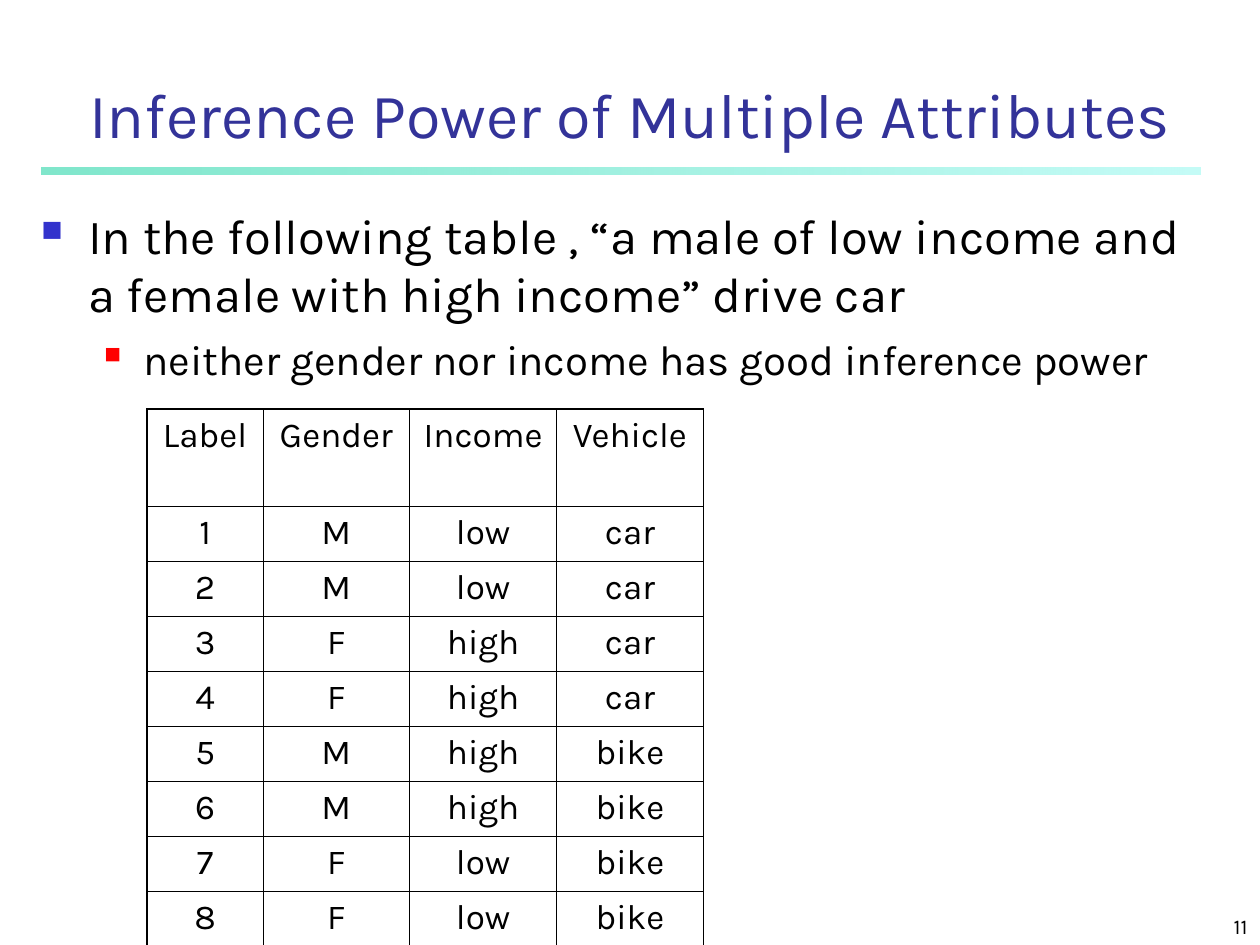
from lxml.etree import SubElement
from pptx import Presentation
from pptx.dml.color import RGBColor
from pptx.enum.shapes import MSO_SHAPE as Shape
from pptx.enum.text import MSO_ANCHOR as Anchor, PP_ALIGN as Align
from pptx.oxml.ns import qn
from pptx.util import Cm, Pt

FONT = "Karla"
BLACK = "000000"
THIN, THICK = 0.45, 1.08

TITLE = "Inference Power of Multiple Attributes"
PAGE_NUMBER = "11"
BULLETS = [
    dict(text="In the following table , “a male of low income and "
              "a female with high income” drive car",
         size=28, level=0, before=0, indent=(0.95, -0.95), bullet=("3333CC", 60)),
    dict(text="neither gender nor income has good inference power",
         size=24, level=1, before=6, indent=(2.06, -0.79), bullet=("FF0000", 55)),
]
ROWS = [
    ("Label", "Gender", "Income", "Vehicle"),
    ("1", "M", "low", "car"),
    ("2", "M", "low", "car"),
    ("3", "F", "high", "car"),
    ("4", "F", "high", "car"),
    ("5", "M", "high", "bike"),
    ("6", "M", "high", "bike"),
    ("7", "F", "low", "bike"),
    ("8", "F", "low", "bike"),
]
COLUMN_WIDTHS = [2.33] + [2.96] * 3
ROW_HEIGHTS = [1.95] + [1.11] * (len(ROWS) - 1)
RULE_STOPS = [("8FF9EF", 52), ("00CE98", 50)]  # colour, opacity in percent


def color(value):
    return RGBColor.from_string(value)


def write(paragraph, text, size=20, ink=BLACK, align=Align.LEFT, level=0,
          before=0, indent=None, bullet=None):
    paragraph.alignment = align
    paragraph.level = level
    paragraph.space_before = Pt(before)
    if bullet:
        properties = paragraph._p.get_or_add_pPr()
        margin, first_line = indent
        properties.set("marL", str(Cm(margin)))
        properties.set("indent", str(Cm(first_line)))
        bullet_ink, percent = bullet
        SubElement(SubElement(properties, qn("a:buClr")), qn("a:srgbClr"), val=bullet_ink)
        SubElement(properties, qn("a:buSzPct"), val=str(percent * 1000))
        SubElement(properties, qn("a:buChar"), char="■")
    run = paragraph.add_run()
    run.text = text
    run.font.name = FONT
    run.font.size = Pt(size)
    run.font.color.rgb = color(ink)


def add_text_frame(slide, left, top, width, height, anchor=Anchor.TOP):
    box = slide.shapes.add_textbox(Cm(left), Cm(top), Cm(width), Cm(height))
    frame = box.text_frame
    frame.word_wrap = True
    frame.vertical_anchor = anchor
    return frame


def add_title_rule(slide):
    rule = slide.shapes.add_shape(Shape.RECTANGLE, Cm(0.83), Cm(3.37), Cm(23.37), Cm(0.15))
    rule.shadow.inherit = False
    rule.line.fill.background()
    rule.fill.gradient()
    rule.fill.gradient_angle = 180
    for position, (stop, (ink, _)) in enumerate(zip(rule.fill.gradient_stops, RULE_STOPS)):
        stop.position = position
        stop.color.rgb = color(ink)
    gradient_inks = rule.element.spPr.iter(qn("a:srgbClr"))
    for element, (_, opacity) in zip(list(gradient_inks), RULE_STOPS):
        SubElement(element, qn("a:alpha"), val=str(opacity * 1000))


def add_borders(cell, **widths):
    properties = cell._tc.get_or_add_tcPr()
    for side, width in widths.items():
        line = SubElement(properties, qn(f"a:ln{side}"), w=str(Pt(width)))
        SubElement(SubElement(line, qn("a:solidFill")), qn("a:srgbClr"), val=BLACK)


def add_vehicle_table(slide):
    frame = slide.shapes.add_table(len(ROWS), len(COLUMN_WIDTHS), Cm(2.97), Cm(8.25),
                                   Cm(sum(COLUMN_WIDTHS)), Cm(sum(ROW_HEIGHTS)))
    table = frame.table
    table.first_row = table.horz_banding = False
    for column, width in zip(table.columns, COLUMN_WIDTHS):
        column.width = Cm(width)
    for row, height in zip(table.rows, ROW_HEIGHTS):
        row.height = Cm(height)
    last_row, last_column = len(ROWS) - 1, len(COLUMN_WIDTHS) - 1
    for r, values in enumerate(ROWS):
        for c, value in enumerate(values):
            cell = table.cell(r, c)
            write(cell.text_frame.paragraphs[0], value, align=Align.CENTER)
            add_borders(cell,
                        L=THICK if c == 0 else THIN,
                        R=THICK if c == last_column else THIN,
                        T=THICK if r == 0 else THIN,
                        B=THICK if r == last_row else THIN)
            cell.fill.background()


def main():
    presentation = Presentation()
    presentation.slide_width, presentation.slide_height = Cm(25.4), Cm(19.05)
    slide = presentation.slides.add_slide(presentation.slide_layouts[6])

    add_title_rule(slide)
    title = add_text_frame(slide, 0, 0, 25.4, 3.18, Anchor.BOTTOM)
    write(title.paragraphs[0], TITLE, size=36, ink="333399", align=Align.CENTER)

    body = add_text_frame(slide, 0.58, 4.01, 24.18, 14.27)
    for index, item in enumerate(BULLETS):
        paragraph = body.add_paragraph() if index else body.paragraphs[0]
        write(paragraph, **item)

    add_vehicle_table(slide)
    number = add_text_frame(slide, 20.12, 17.98, 5.28, 1.07, Anchor.BOTTOM)
    write(number.paragraphs[0], PAGE_NUMBER, size=12, align=Align.RIGHT)
    presentation.save("out.pptx")


if __name__ == "__main__":
    main()
